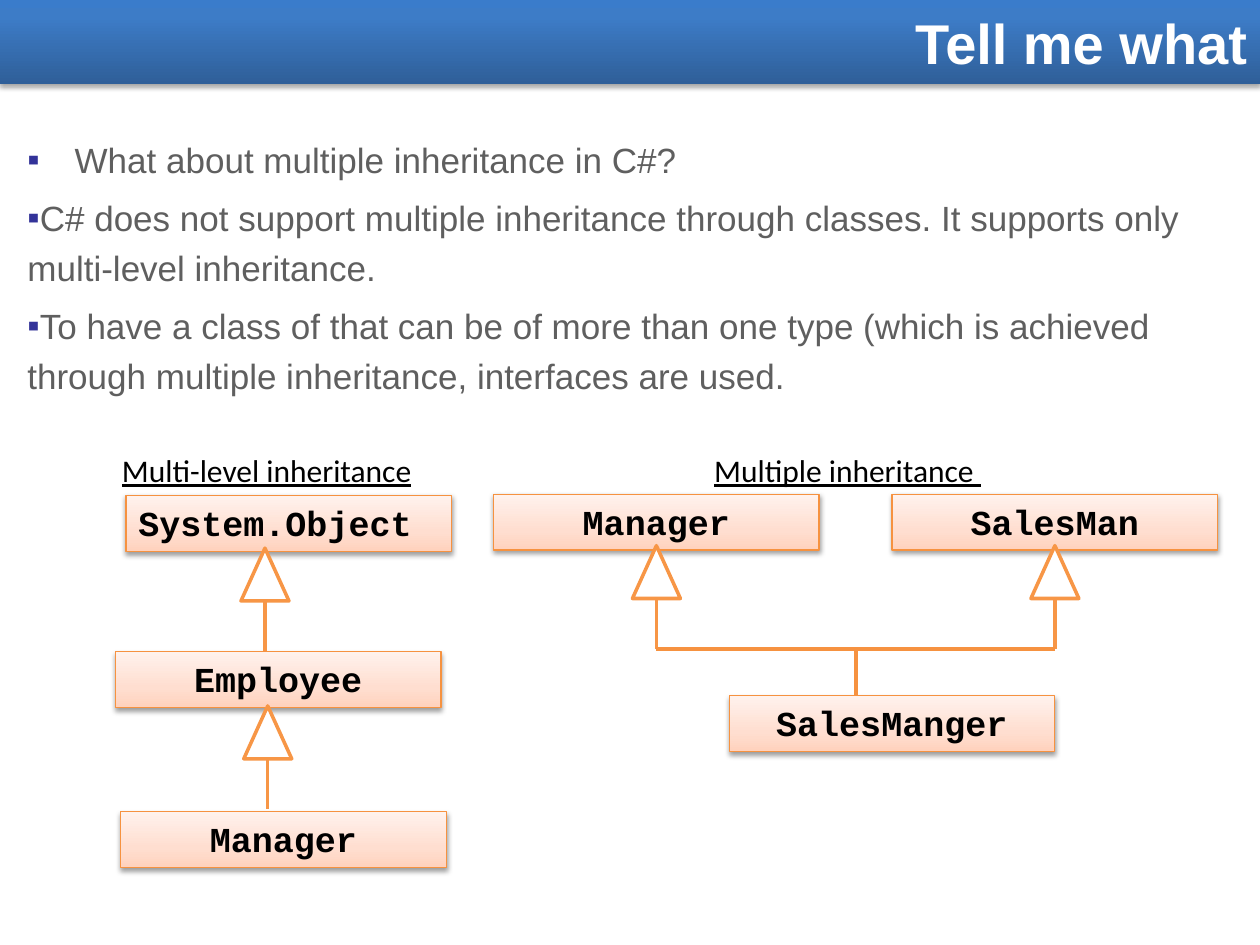
import pptx
import pptx.dml.color
import pptx.enum.shapes
import pptx.enum.text
import pptx.oxml
import pptx.oxml.ns
import pptx.util
from lxml import etree

Pt = pptx.util.Pt
SHAPES = pptx.enum.shapes.MSO_SHAPE
ALIGN = pptx.enum.text.PP_ALIGN
ANCHOR = pptx.enum.text.MSO_ANCHOR
AUTO_SIZE = pptx.enum.text.MSO_AUTO_SIZE
qn = pptx.oxml.ns.qn

COLORS = {
    "white": "FFFFFF", "black": "000000", "body": "5F5F5F", "bullet": "333399",
    "box_line": "F69240", "arrow": "F79646",
    "banner_bottom": "2F5F99", "banner_middle": "3D7CC7", "banner_top": "3A7CCB",
    "box_bottom": "FFD2BD", "box_middle": "FFDED0", "box_top": "FFF2ED",
}
BANNER_STOPS = [(0, "banner_bottom"), (80, "banner_middle"), (100, "banner_top")]
BOX_STOPS = [(0, "box_bottom"), (35, "box_middle"), (100, "box_top")]
BOX_WIDTH, BOX_HEIGHT = 186, 32
HEAD_WIDTH, HEAD_HEIGHT, STEM_LENGTH = 27.4, 30.2, 28.8


def rgb(name):
    """Return the named colour as an RGB value."""
    return pptx.dml.color.RGBColor.from_string(COLORS[name])


def add_element(parent, tag, **attributes):
    """Append an XML element with attributes and return it."""
    element = etree.SubElement(parent, qn(tag))
    for name, value in attributes.items():
        element.set(name, str(value))
    return element


def set_gradient(shape, stops):
    """Fill a shape with a gradient running from bottom to top."""
    shape.fill.gradient()
    shape.fill.gradient_angle = 90
    stop_list = shape.fill._fill._gradFill.find(qn("a:gsLst"))
    for stop in list(stop_list):
        stop_list.remove(stop)
    for position, name in stops:
        stop = add_element(stop_list, "a:gs", pos=position * 1000)
        add_element(stop, "a:srgbClr", val=COLORS[name])


def set_shadow(shape, distance, opacity):
    """Give a shape a soft shadow straight below it."""
    shape.shadow.inherit = False
    effects = shape._element.spPr.find(qn("a:effectLst"))
    shadow = add_element(effects, "a:outerShdw", blurRad=Pt(3.1), dist=Pt(distance),
                         dir=5400000, rotWithShape=0)
    color = add_element(shadow, "a:srgbClr", val=COLORS["black"])
    add_element(color, "a:alpha", val=opacity * 1000)


def write_text(paragraph, text, size=20, font="Arial", color="black", bold=False,
               underline=False, align=ALIGN.LEFT):
    """Write one formatted run into a paragraph."""
    paragraph.alignment = align
    run = paragraph.add_run()
    run.text = text
    run.font.size = Pt(size)
    run.font.name = font
    run.font.bold = bold
    run.font.underline = underline
    run.font.color.rgb = rgb(color)


def add_banner(slide, left, top, width, height):
    """Add the title banner."""
    banner = slide.shapes.add_shape(SHAPES.RECTANGLE, Pt(left), Pt(top), Pt(width), Pt(height))
    set_gradient(banner, BANNER_STOPS)
    banner.line.fill.background()
    set_shadow(banner, 1.8, 35)
    frame = banner.text_frame
    frame.vertical_anchor = ANCHOR.MIDDLE
    write_text(frame.paragraphs[0], "Tell me what", size=32, color="white", bold=True,
               align=ALIGN.RIGHT)


def add_bullets(slide, left, top, width, height):
    """Add the bulleted body text."""
    frame = slide.shapes.add_textbox(Pt(left), Pt(top), Pt(width), Pt(height)).text_frame
    frame.word_wrap = True
    items = [
        ("What about multiple inheritance in C#?", 1.4, 27),
        ("C# does not support multiple inheritance through classes. "
         "It supports only multi-level inheritance.", 1.2, 0),
        ("To have a class of that can be of more than one type (which is achieved "
         "through multiple inheritance, interfaces are used.", 1.2, 0),
    ]
    for index, (text, spacing, indent) in enumerate(items):
        paragraph = frame.add_paragraph() if index else frame.paragraphs[0]
        write_text(paragraph, text, color="body")
        paragraph.line_spacing = spacing
        paragraph.space_before = Pt(4)
        properties = paragraph._p.get_or_add_pPr()
        properties.set("marL", str(Pt(indent)))
        properties.set("indent", str(-Pt(indent)))
        bullet_color = add_element(properties, "a:buClr")
        add_element(bullet_color, "a:srgbClr", val=COLORS["bullet"])
        add_element(properties, "a:buFont", typeface="Arial")
        add_element(properties, "a:buChar", char="▪")


def add_caption(slide, text, left, top, width, height):
    """Add an underlined diagram caption."""
    frame = slide.shapes.add_textbox(Pt(left), Pt(top), Pt(width), Pt(height)).text_frame
    frame.word_wrap = False
    frame.auto_size = AUTO_SIZE.SHAPE_TO_FIT_TEXT
    write_text(frame.paragraphs[0], text, size=18, font="Calibri", underline=True)


def add_class_box(slide, name, left, top, align=ALIGN.CENTER):
    """Add a class box with its name."""
    box = slide.shapes.add_shape(SHAPES.RECTANGLE, Pt(left), Pt(top),
                                 Pt(BOX_WIDTH), Pt(BOX_HEIGHT))
    set_gradient(box, BOX_STOPS)
    box.line.color.rgb = rgb("box_line")
    box.line.width = Pt(0.75)
    set_shadow(box, 1.6, 38)
    frame = box.text_frame
    frame.vertical_anchor = ANCHOR.TOP
    frame.auto_size = AUTO_SIZE.SHAPE_TO_FIT_TEXT
    write_text(frame.paragraphs[0], name, font="Courier New", bold=True, align=align)


def add_line(shapes, start, end, color="box_line", width=2.25):
    """Add a straight line between two points."""
    line = shapes.add_connector(pptx.enum.shapes.MSO_CONNECTOR.STRAIGHT,
                                *map(Pt, (*start, *end)))
    line.line.color.rgb = rgb(color)
    line.line.width = Pt(width)
    add_element(line._element.spPr, "a:effectLst")


def add_inheritance_arrow(slide, center, top):
    """Add a grouped hollow arrowhead with its stem."""
    shapes = slide.shapes.add_group_shape().shapes
    head = shapes.add_shape(SHAPES.ISOSCELES_TRIANGLE, Pt(center - HEAD_WIDTH / 2), Pt(top),
                            Pt(HEAD_WIDTH), Pt(HEAD_HEIGHT))
    head.fill.solid()
    head.fill.fore_color.rgb = rgb("white")
    head.line.color.rgb = rgb("arrow")
    head.line.width = Pt(2)
    head.shadow.inherit = False
    stem_top = top + HEAD_HEIGHT
    add_line(shapes, (center, stem_top), (center, stem_top + STEM_LENGTH), "arrow", 2)


def add_multilevel_diagram(slide, left, top):
    """Add the chain of three classes."""
    add_class_box(slide, "System.Object", left + 9.4, top + 28.8, ALIGN.LEFT)
    add_class_box(slide, "Employee", left + 3.4, top + 118)
    add_class_box(slide, "Manager", left + 6.4, top + 209.5)
    add_inheritance_arrow(slide, left + 88.8, top + 59)
    add_inheritance_arrow(slide, left + 90.4, top + 149.2)
    add_caption(slide, "Multi-level inheritance", left, top, 195, 29)


def add_multiple_diagram(slide, left, top):
    """Add two parent classes joined to one child class."""
    bar_top = top + 57.6 + HEAD_HEIGHT + STEM_LENGTH
    centers = []
    for name, offset in (("Manager", 0), ("SalesMan", 227.7)):
        center = left + offset + BOX_WIDTH / 2
        add_class_box(slide, name, left + offset, top + 28.2)
        add_inheritance_arrow(slide, center, top + 57.6)
        centers.append(center)
    child_top = top + 143.3
    middle = sum(centers) / 2
    add_class_box(slide, "SalesManger", left + 134.6, child_top)
    add_line(slide.shapes, (centers[0], bar_top), (centers[1], bar_top))
    add_line(slide.shapes, (middle, bar_top), (middle, child_top))
    add_caption(slide, "Multiple inheritance ", left + 118.9, top, 176, 29)


def main():
    """Build and save the slide."""
    presentation = pptx.Presentation()
    presentation.slide_width, presentation.slide_height = Pt(720), Pt(540)
    slide = presentation.slides.add_slide(presentation.slide_layouts[6])
    add_banner(slide, 0, 0, 720, 48)
    add_bullets(slide, 8.6, 66.2, 702.7, 470)
    add_multilevel_diagram(slide, 62.6, 254.2)
    add_multiple_diagram(slide, 282.1, 254.2)
    presentation.save("out.pptx")


if __name__ == "__main__":
    main()
